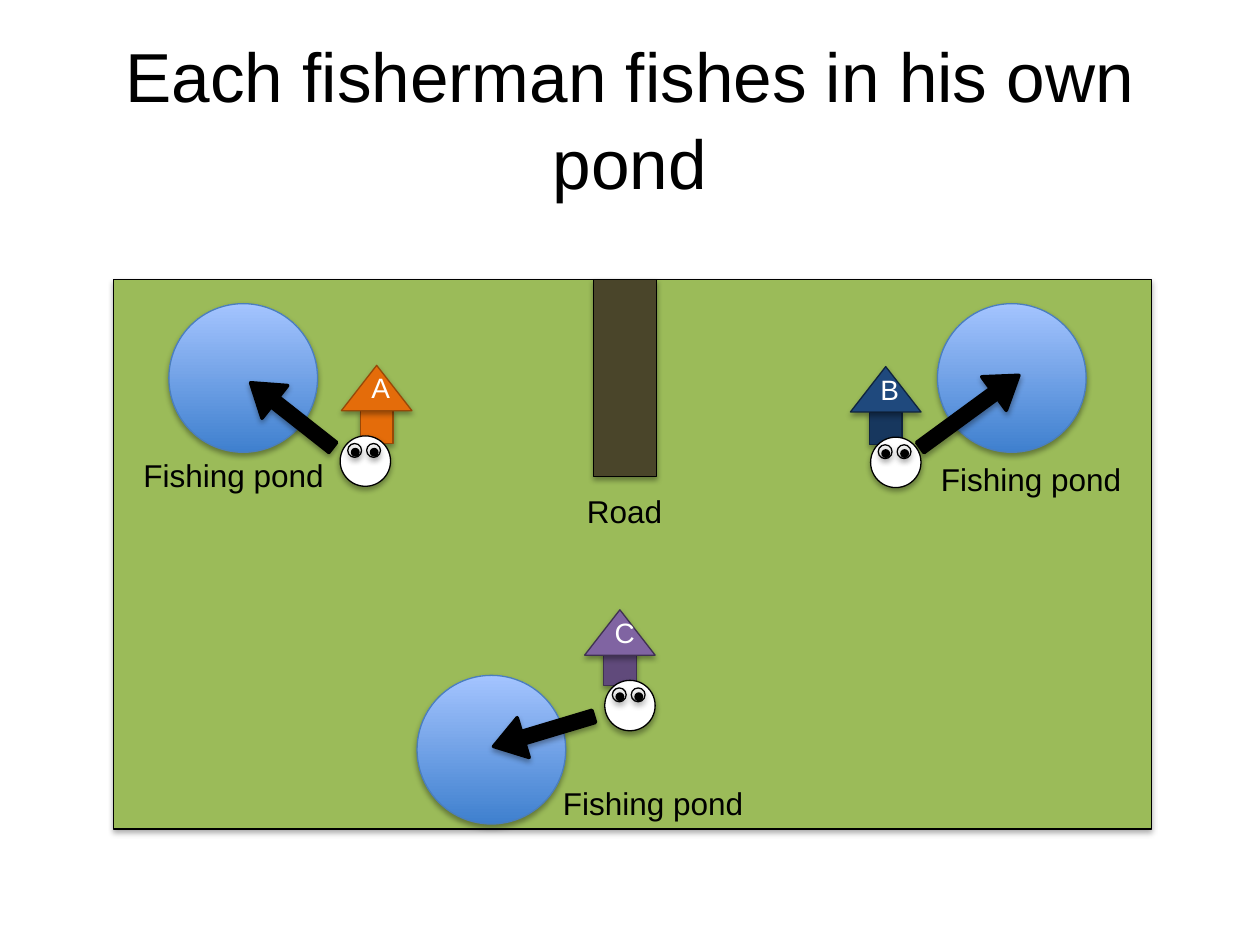
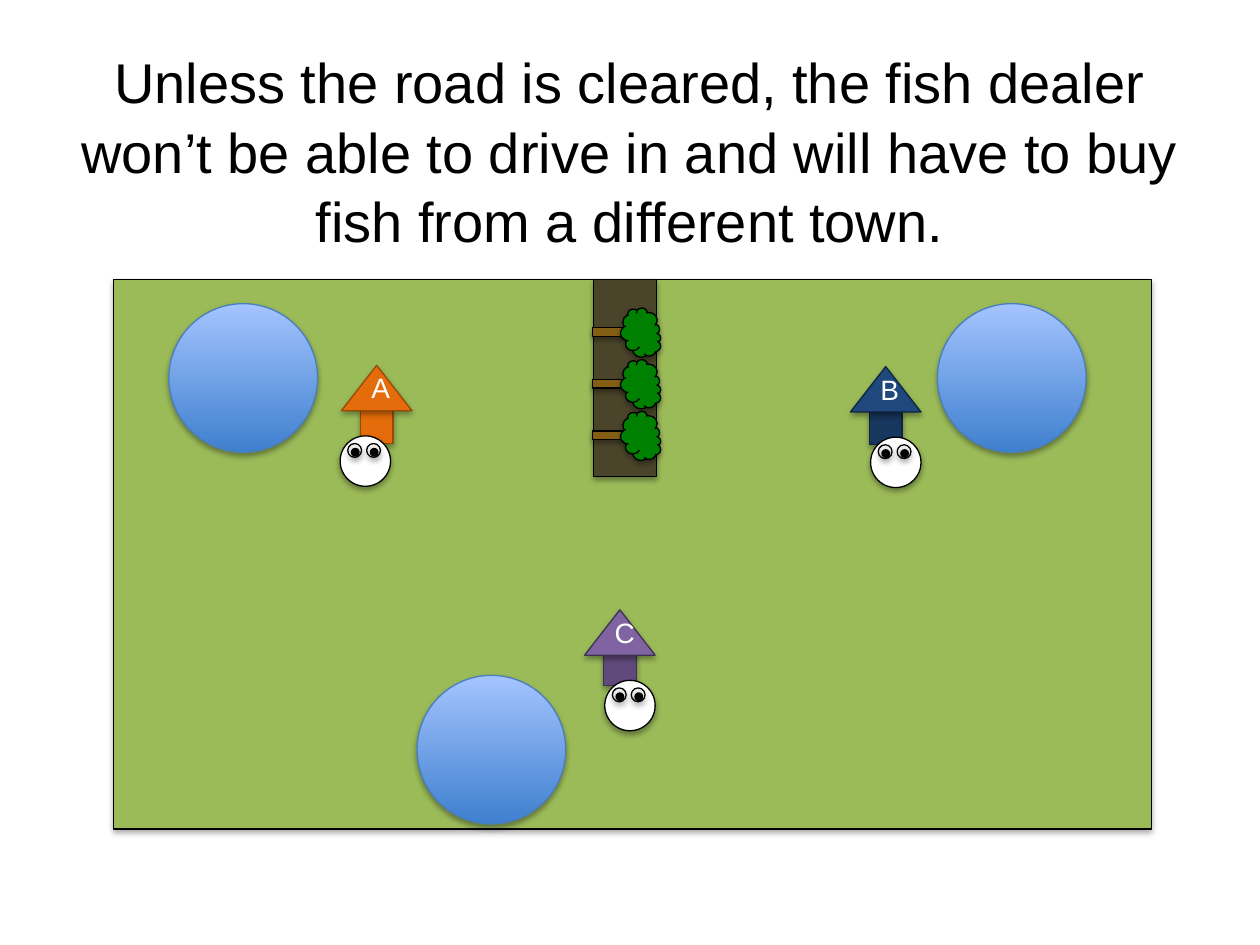
from pptx import Presentation
from pptx.dml.color import RGBColor
from pptx.enum.shapes import MSO_SHAPE
from pptx.enum.text import MSO_ANCHOR, MSO_AUTO_SIZE, PP_ALIGN
from pptx.util import Inches, Pt
from pptx.oxml import parse_xml
from pptx.oxml.ns import nsdecls

FONT = "Arial"
BLACK = RGBColor(0x00, 0x00, 0x00)
WHITE = RGBColor(0xFF, 0xFF, 0xFF)
GRASS = RGBColor(0x9B, 0xBB, 0x59)
DEEP = RGBColor(0x3F, 0x80, 0xCE)
LIGHT = RGBColor(0xA4, 0xC4, 0xFF)
SHORE = RGBColor(0x4B, 0x7E, 0xBC)
ROAD = RGBColor(0x4A, 0x45, 0x2A)
TRUNK = RGBColor(0x83, 0x5E, 0x13)
LEAF = RGBColor(0x00, 0x80, 0x00)
ORANGE = RGBColor(0xE4, 0x6C, 0x0A)
RUST = RGBColor(0x98, 0x48, 0x07)
BLUE = RGBColor(0x1F, 0x49, 0x7D)
NAVY = RGBColor(0x17, 0x37, 0x5E)
INK = RGBColor(0x0F, 0x24, 0x3E)
LILAC = RGBColor(0x80, 0x64, 0xA2)
PLUM = RGBColor(0x60, 0x4A, 0x7B)
DUSK = RGBColor(0x40, 0x31, 0x52)

PONDS = [(1.34, 2.41), (3.31, 5.36), (7.44, 2.41)]
# letter, roof left and top, roof, wall and line colours, wall drop, face shift
HUTS = [
    ("A", 2.71, 2.9, ORANGE, ORANGE, RUST, 0.36, -0.01),
    ("B", 6.75, 2.91, BLUE, NAVY, INK, 0.36, 0.16),
    ("C", 4.64, 4.84, LILAC, PLUM, DUSK, 0.34, 0.16),
]
# left, top, width, turn
ARROWS = [(1.9, 3.13, 0.83, 38.2), (3.9, 5.64, 0.83, 343.3),
          (7.21, 3.1, 0.97, 143.8)]
# text, left, top, width
LABELS = [("Fishing pond", 1.04, 3.57, 1.67), ("Fishing pond", 7.37, 3.6, 1.67),
          ("Road", 4.56, 3.86, 0.81), ("Fishing pond", 4.37, 6.17, 1.67)]


def style(frame, size, color, align):
    """Format the only paragraph of a text frame."""
    par = frame.paragraphs[0]
    par.alignment = align
    font = par.runs[0].font
    font.name, font.size, font.color.rgb = FONT, Pt(size), color


def shade(shape):
    """Give a shape the soft shadow that falls straight down."""
    shape.shadow.inherit = False
    effect = shape._element.spPr.find(
        "{http://schemas.openxmlformats.org/drawingml/2006/main}effectLst")
    effect.append(parse_xml(
        f'<a:outerShdw {nsdecls("a")} blurRad="40000" dist="23000" '
        'dir="5400000" rotWithShape="0"><a:srgbClr val="000000">'
        '<a:alpha val="35000"/></a:srgbClr></a:outerShdw>'))


def draw(shapes, kind, box, fill, line=BLACK):
    """Add a shaded preset shape; a fill of None leaves it hollow."""
    shape = shapes.add_shape(kind, *map(Inches, box))
    if fill is None:
        shape.fill.background()
    else:
        shape.fill.solid()
        shape.fill.fore_color.rgb = fill
    shape.line.color.rgb = line
    shape.line.width = Pt(0.75)
    shade(shape)
    return shape


def pond(shapes, left, top):
    """Add a round pond, dark at the bottom."""
    shape = draw(shapes, MSO_SHAPE.OVAL, (left, top, 1.18, 1.18), DEEP, SHORE)
    shape.fill.gradient()
    shape.fill.gradient_angle = 90
    for stop, color, place in zip(shape.fill.gradient_stops, (DEEP, LIGHT), (0, 1)):
        stop.color.rgb = color
        stop.position = place


def face(shapes, left, top):
    """Add a grouped white head with two eyes."""
    parts = shapes.add_group_shape().shapes
    draw(parts, MSO_SHAPE.OVAL, (left, top, 0.4, 0.4), WHITE)
    for shift in (0.06, 0.21):
        eye = left + shift
        draw(parts, MSO_SHAPE.OVAL, (eye, top + 0.06, 0.11, 0.11), None)
        draw(parts, MSO_SHAPE.OVAL, (eye + 0.03, top + 0.1, 0.06, 0.06), BLACK)


def hut(shapes, name, left, top, roof, wall, line, drop, shift):
    """Add a lettered hut with its fisherman in front."""
    draw(shapes, MSO_SHAPE.RECTANGLE, (left + 0.15, top + drop, 0.26, 0.26), wall, line)
    face(shapes, left + shift, top + 0.56)
    cap = draw(shapes, MSO_SHAPE.ISOSCELES_TRIANGLE, (left, top, 0.56, 0.36), roof, line)
    frame = cap.text_frame
    frame.text = name
    frame.vertical_anchor = MSO_ANCHOR.BOTTOM
    style(frame, 16, WHITE, PP_ALIGN.CENTER)


def arrow(shapes, left, top, width, turn):
    """Add a thick black arrow that points into a pond."""
    shape = draw(shapes, MSO_SHAPE.LEFT_ARROW, (left, top, width, 0.33), BLACK)
    shape.shadow.inherit = False
    shape.line.width = Pt(2)
    shape.adjustments[0], shape.adjustments[1] = 0.305, 0.744
    shape.rotation = turn


def label(shapes, text, left, top, width):
    """Add a one-line caption."""
    frame = shapes.add_textbox(*map(Inches, (left, top, width, 0.4))).text_frame
    frame.text = text
    frame.word_wrap = False
    frame.auto_size = MSO_AUTO_SIZE.SHAPE_TO_FIT_TEXT
    style(frame, 18, BLACK, PP_ALIGN.LEFT)


def tree(shapes, left, top):
    """Add a grouped tree that lies across the road."""
    parts = shapes.add_group_shape().shapes
    trunk = draw(parts, MSO_SHAPE.RECTANGLE, (left, top, 0.07, 0.37), TRUNK)
    crown = draw(parts, MSO_SHAPE.CLOUD, (left + 0.04, top + 0.03, 0.39, 0.32), LEAF)
    trunk.rotation = crown.rotation = 90


def head(slide, text, box, size):
    """Place and format the slide title."""
    title = slide.shapes.title
    title.left, title.top, title.width, title.height = map(Inches, box)
    frame = title.text_frame
    frame.text = text
    frame.word_wrap = True
    frame.auto_size = MSO_AUTO_SIZE.NONE
    frame.vertical_anchor = MSO_ANCHOR.MIDDLE
    style(frame, size, BLACK, PP_ALIGN.CENTER)
    frame.paragraphs[0].line_spacing = 1.04


def town(deck, text, box, size):
    """Add a titled slide with the meadow, ponds, road and huts."""
    slide = deck.slides.add_slide(deck.slide_layouts[5])
    head(slide, text, box, size)
    shapes = slide.shapes
    draw(shapes, MSO_SHAPE.RECTANGLE, (0.9, 2.22, 8.24, 4.36), GRASS)
    for spot in PONDS:
        pond(shapes, *spot)
    draw(shapes, MSO_SHAPE.RECTANGLE, (4.71, 2.22, 0.5, 1.56), ROAD)
    return shapes


def main():
    """Build both slides and save the deck."""
    deck = Presentation()
    deck.slide_width, deck.slide_height = Inches(10), Inches(7.5)

    shapes = town(deck, "Each fisherman fishes in his own pond",
                  (0.87, 0.3, 8.26, 1.25), 39.6)
    for item in ARROWS:
        arrow(shapes, *item)
    for item in LABELS:
        label(shapes, *item)
    for item in HUTS:
        hut(shapes, *item)

    shapes = town(deck, "Unless the road is cleared, the fish dealer won’t be able to "
                  "drive in and will have to buy fish from a different town.",
                  (0.23, 0.56, 9.54, 1.25), 32)
    for row in range(3):
        tree(shapes, 4.85, 2.45 + 0.41 * row)
    for item in HUTS:
        hut(shapes, *item)

    deck.save("out.pptx")


main()
